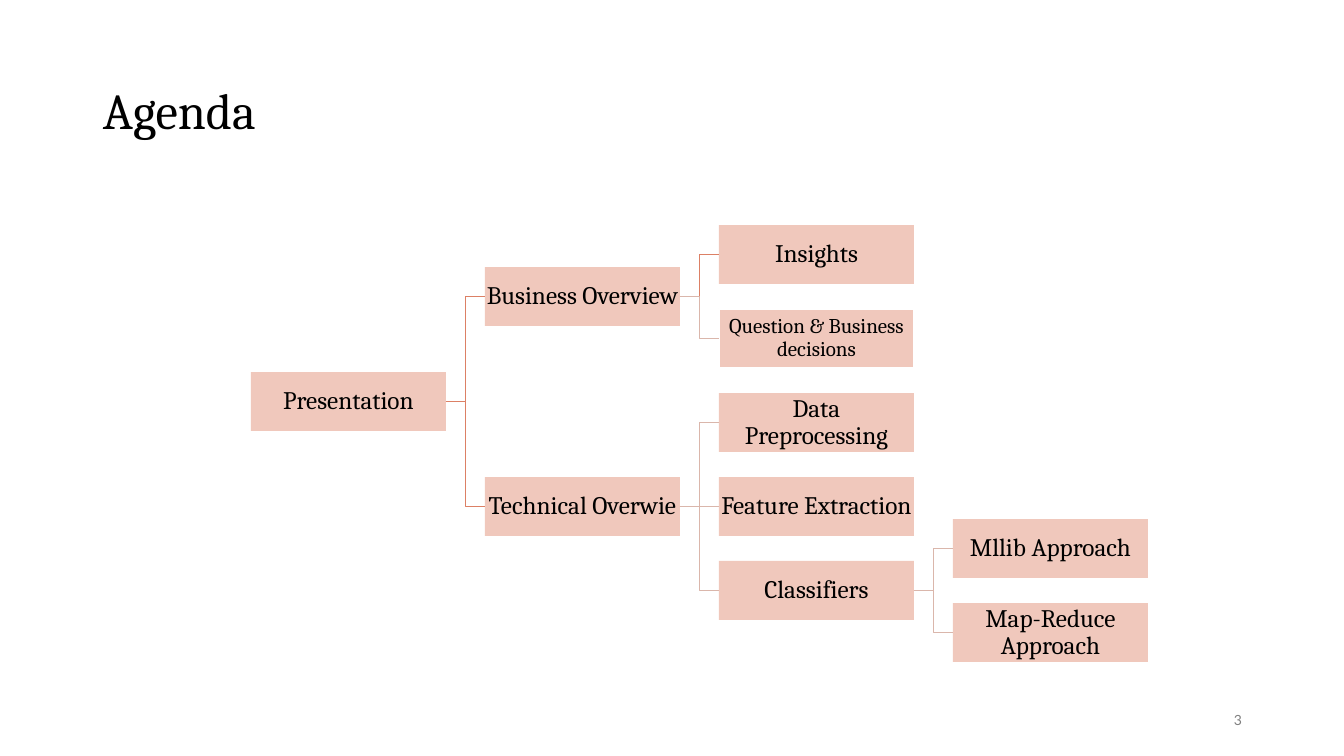
from pptx import Presentation
from pptx import util as u
from pptx.dml.color import RGBColor
from pptx.enum import shapes, text
from pptx.oxml.ns import qn
from lxml import etree

TITLE = "Agenda"
PAGE_NUMBER = "3"
# topic: (column, row, parent topic)
TOPICS = {
    "Presentation": (0, 1.75, None),
    "Business Overview": (1, 0.5, "Presentation"),
    "Technical Overwie": (1, 3, "Presentation"),
    "Insights": (2, 0, "Business Overview"),
    "Question & Business decisions": (2, 1, "Business Overview"),
    "Data Preprocessing": (2, 2, "Technical Overwie"),
    "Feature Extraction": (2, 3, "Technical Overwie"),
    "Classifiers": (2, 4, "Technical Overwie"),
    "Mllib Approach": (3, 3.5, "Classifiers"),
    "Map-Reduce Approach": (3, 4.5, "Classifiers"),
}
SMALL_TOPIC = "Question & Business decisions"
STRONG_LINKS = {"Business Overview", "Technical Overwie", "Insights"}

THEME = {
    "heading_font": "Cambria", "number_font": "Lato",
    "text": "000000", "number": "808080", "box": "F0C8BC", "outline": "FFFFFF",
    "strong_link": "DC8065", "soft_link": "DAB6AB",
    "title_size": 36, "topic_size": 18, "small_size": 15, "number_size": 10,
}

SLIDE_WIDTH, SLIDE_HEIGHT = 1344, 756
EMU_PER_PX = u.Inches(1) / 100.8
TREE_LEFT, TREE_TOP = 251, 225
COLUMN_STEP, ROW_STEP = 234, 84
BOX_WIDTH, BOX_HEIGHT = 195, 59
LEFT_SITE, RIGHT_SITE = 1, 3


def px(length):
    return u.Emu(round(length * EMU_PER_PX))


def colour(name):
    return RGBColor.from_string(THEME[name])


def write(shape, wording, font, size, ink, align):
    frame = shape.text_frame
    frame.word_wrap = True
    frame.vertical_anchor = text.MSO_ANCHOR.MIDDLE
    paragraph = frame.paragraphs[0]
    paragraph.text = wording
    paragraph.alignment = align
    paragraph.line_spacing = 0.9
    paragraph.font.name = THEME[font]
    paragraph.font.size = u.Pt(THEME[size])
    paragraph.font.color.rgb = colour(ink)


def add_label(slide, area, *style):
    write(slide.shapes.add_textbox(*map(px, area)), *style)


def add_topic(slide, topic, column, row):
    left = TREE_LEFT + column * COLUMN_STEP
    top = TREE_TOP + row * ROW_STEP
    box = slide.shapes.add_shape(
        shapes.MSO_SHAPE.RECTANGLE, px(left), px(top), px(BOX_WIDTH), px(BOX_HEIGHT))
    box.shadow.inherit = False
    box.fill.solid()
    box.fill.fore_color.rgb = colour("box")
    small = topic == SMALL_TOPIC
    if small:
        box.line.color.rgb = colour("outline")
        box.line.width = u.Pt(1)
    else:
        box.line.fill.background()
    frame = box.text_frame
    frame.margin_left = frame.margin_right = px(1)
    frame.margin_top = frame.margin_bottom = px(1)
    write(box, topic, "heading_font", "small_size" if small else "topic_size",
          "text", text.PP_ALIGN.CENTER)
    return box


def add_link(slide, parent, child, ink):
    level = parent.top == child.top
    kind = shapes.MSO_CONNECTOR.STRAIGHT if level else shapes.MSO_CONNECTOR.ELBOW
    link = slide.shapes.add_connector(kind, 0, 0, 0, 0)
    link.begin_connect(parent, RIGHT_SITE)
    link.end_connect(child, LEFT_SITE)
    link.line.color.rgb = colour(ink)
    link.line.width = u.Pt(1)
    etree.SubElement(link._element.spPr, qn("a:effectLst"))


def main():
    presentation = Presentation()
    presentation.slide_width = px(SLIDE_WIDTH)
    presentation.slide_height = px(SLIDE_HEIGHT)
    slide = presentation.slides.add_slide(presentation.slide_layouts[6])

    add_label(slide, (93, 78, 1159, 71), TITLE, "heading_font", "title_size",
              "text", text.PP_ALIGN.LEFT)
    add_label(slide, (950, 701, 302, 40), PAGE_NUMBER, "number_font", "number_size",
              "number", text.PP_ALIGN.RIGHT)

    boxes = {}
    for topic, (column, row, parent) in TOPICS.items():
        boxes[topic] = add_topic(slide, topic, column, row)
        if parent:
            ink = "strong_link" if topic in STRONG_LINKS else "soft_link"
            add_link(slide, boxes[parent], boxes[topic], ink)

    presentation.save("out.pptx")


if __name__ == "__main__":
    main()
